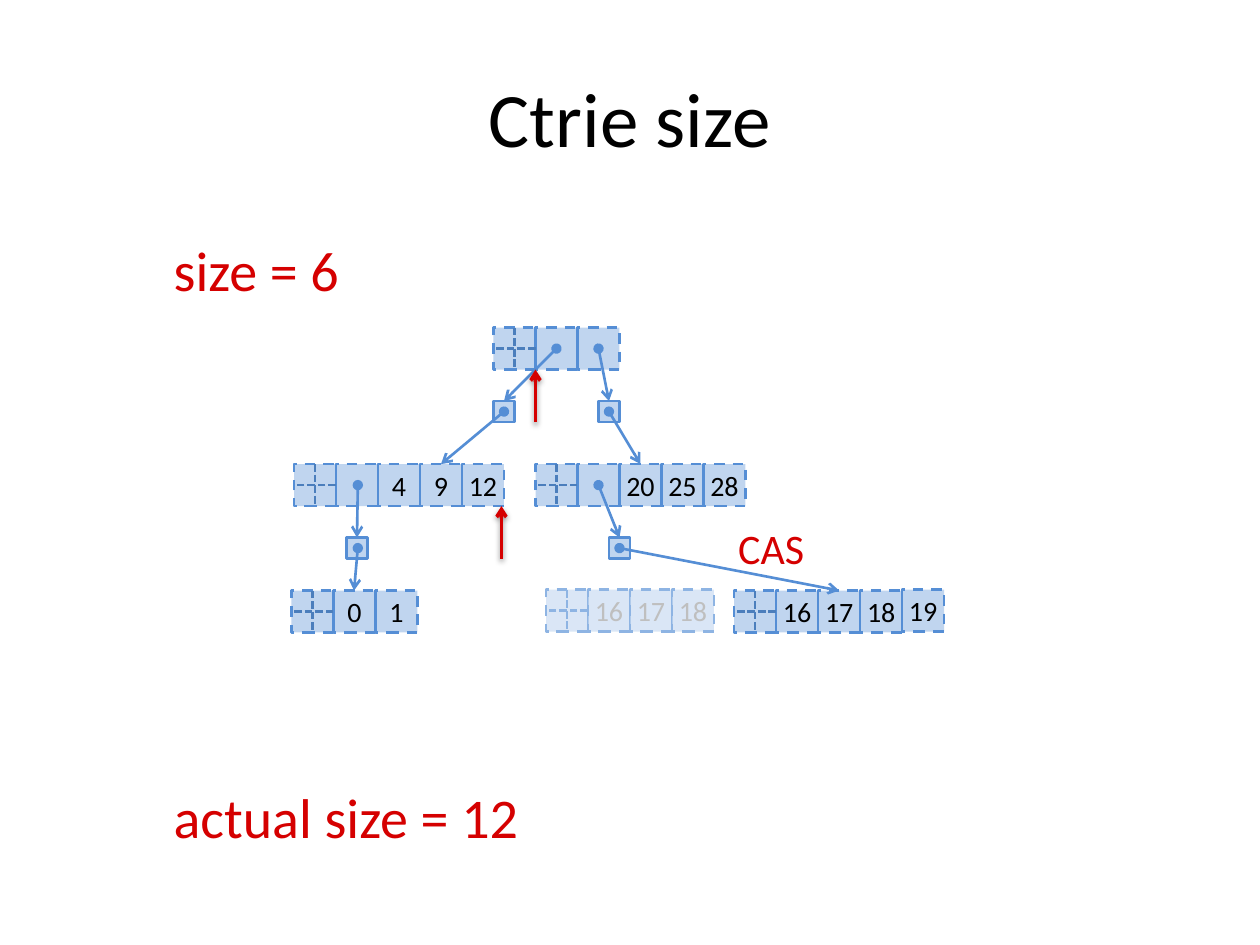
from lxml import etree
from pptx import Presentation
from pptx.dml.color import RGBColor
from pptx.enum.dml import MSO_LINE
from pptx.enum.shapes import MSO_CONNECTOR, MSO_SHAPE
from pptx.enum.text import MSO_ANCHOR, MSO_AUTO_SIZE, PP_ALIGN
from pptx.oxml.ns import qn
from pptx.util import Inches, Pt

RECTANGLE = MSO_SHAPE.RECTANGLE
STRAIGHT = MSO_CONNECTOR.STRAIGHT
DASH, SHORT_DASH = MSO_LINE.DASH, MSO_LINE.SQUARE_DOT
LEFT, CENTER = PP_ALIGN.LEFT, PP_ALIGN.CENTER
TOP, MIDDLE = MSO_ANCHOR.TOP, MSO_ANCHOR.MIDDLE
FIT_SHAPE, NO_FIT = MSO_AUTO_SIZE.SHAPE_TO_FIT_TEXT, MSO_AUTO_SIZE.NONE

COLORS = {
    "black": "000000",
    "red": "D50000",
    "blue": "558ED5",
    "bitmap": "4B7EBC",
    "pale": "C6D9F1",
    "pale_line": "8EB4E3",
    "gray": "BFBFBF",
}
LIVE = {"fill": "blue", "alpha": 37, "line": "blue", "cross": "bitmap", "text": "black"}
STALE = {"fill": "pale", "alpha": 64, "line": "pale_line", "cross": "pale_line", "text": "gray"}

COLUMNS, ROWS = 30, 22.5
INDIRECTION = 0.5

NODES = [
    (11.75, 7.8, ["", ""], LIVE),
    (7, 11.05, ["", "4", "9", "12"], LIVE),
    (12.75, 11.05, ["", "20", "25", "28"], LIVE),
    (6.94, 14.06, ["0", "1"], LIVE),
    (13, 14.04, ["16", "17", "18"], STALE),
    (17.48, 14.06, ["16", "17", "18"], LIVE),
]
INDIRECTIONS = [(11.75, 9.55), (14.25, 9.55), (8.25, 12.8), (14.5, 12.8)]
POINTERS = [
    ((13.25, 8.3), (12, 9.55)),
    ((14.25, 8.3), (14.5, 9.55)),
    ((12, 9.8), (10.5, 11.05)),
    ((14.5, 9.8), (15.25, 11.05)),
    ((8.52, 11.55), (8.5, 12.8)),
    ((14.25, 11.55), (14.75, 12.8)),
    ((8.52, 13.05), (8.43, 14.06)),
    ((14.75, 13.05), (19.98, 14.06)),
]
MARKERS = [((11.94, 13.3), (11.94, 12.05)), ((12.75, 10.05), (12.75, 8.8))]
LABELS = [
    ("size = 6", 3.84, 5.46, 4.6, 1.92, 32),
    ("actual size = 12", 3.84, 18.48, 8.9, 1.92, 32),
    ("CAS", 17.28, 12.3, 2.2, 1.5, 24),
]


def assign(target, values):
    """Set every named attribute of the target."""
    for name, value in values.items():
        setattr(target, name, value)


class TrieSlide:
    """Draw trie elements on a slide measured in grid cells."""

    def __init__(self, presentation, font="Calibri"):
        """Add a blank slide and derive the size of a cell."""
        self.slide = presentation.slides.add_slide(presentation.slide_layouts[6])
        self.column = presentation.slide_width / COLUMNS
        self.row = presentation.slide_height / ROWS
        self.font = font

    def place(self, *lengths):
        """Turn alternating column and row lengths into slide units."""
        return [round(n * (self.row if i % 2 else self.column)) for i, n in enumerate(lengths)]

    def outline(self, line, color, width=1.5, dash=None):
        """Style the line of a shape or connector."""
        line.color.rgb = RGBColor.from_string(COLORS[color])
        assign(line, {"width": Pt(width), "dash_style": dash})

    def set_text(self, shape, text, size, color, frame_format, align=LEFT):
        """Put one styled paragraph into a shape."""
        frame = shape.text_frame
        assign(frame, frame_format)
        paragraph = frame.paragraphs[0]
        assign(paragraph, {"text": text, "alignment": align})
        assign(paragraph.font, {"name": self.font, "size": Pt(size)})
        paragraph.font.color.rgb = RGBColor.from_string(COLORS[color])

    def title(self, text):
        """Add the centred slide title."""
        box = self.slide.shapes.add_textbox(*self.place(1.5, 0.9, 27, 3.75))
        frame_format = {"word_wrap": True, "auto_size": NO_FIT, "vertical_anchor": MIDDLE}
        self.set_text(box, text, 44, "black", frame_format, CENTER)

    def label(self, text, left, top, width, height, size):
        """Add a red annotation."""
        box = self.slide.shapes.add_textbox(*self.place(left, top, width, height))
        frame_format = {"word_wrap": False, "auto_size": FIT_SHAPE, "vertical_anchor": TOP}
        self.set_text(box, text, size, "red", frame_format)

    def box(self, left, top, side=1, text="", look=LIVE, dash=DASH):
        """Add a translucent square with optional text."""
        shape = self.slide.shapes.add_shape(RECTANGLE, *self.place(left, top, side, side))
        shape.shadow.inherit = False
        shape.fill.solid()
        shape.fill.fore_color.rgb = RGBColor.from_string(COLORS[look["fill"]])
        color = shape.element.spPr.find(qn("a:solidFill"))[0]
        etree.SubElement(color, qn("a:alpha"), val=str(look["alpha"] * 1000))
        self.outline(shape.line, look["line"], dash=dash)
        if text:
            frame_format = {"word_wrap": False, "vertical_anchor": MIDDLE}
            self.set_text(shape, text, 16, look["text"], frame_format, CENTER)

    def line(self, start, end, color, width=1.5, dash=None, ends=None, shadow=False):
        """Add a straight connector with optional line ends and shadow."""
        connector = self.slide.shapes.add_connector(STRAIGHT, *self.place(*start, *end))
        self.outline(connector.line, color, width, dash)
        properties = connector.element.spPr
        for tag, kind in (ends or {}).items():
            etree.SubElement(properties.find(qn("a:ln")), qn(tag), type=kind)
        effects = etree.SubElement(properties, qn("a:effectLst"))
        if shadow:
            outer = etree.SubElement(effects, qn("a:outerShdw"), blurRad=str(Pt(3.1)),
                                     dist=str(Pt(1.6)), dir="5400000", rotWithShape="0")
            black = etree.SubElement(outer, qn("a:srgbClr"), val=COLORS["black"])
            etree.SubElement(black, qn("a:alpha"), val="38000")

    def node(self, left, top, values, look):
        """Add a bitmap square followed by one square per value."""
        for index, text in enumerate(["", *values]):
            self.box(left + index, top, text=text, look=look)
        middle, center = left + 0.5, top + 0.5
        self.line((middle, top), (middle, top + 1), look["cross"], dash=SHORT_DASH)
        self.line((left + 1, center), (left, center), look["cross"], dash=SHORT_DASH)


def main():
    """Build and save the presentation."""
    presentation = Presentation()
    assign(presentation, {"slide_width": Inches(10), "slide_height": Inches(7.5)})
    trie = TrieSlide(presentation)
    trie.title("Ctrie size")
    for node in NODES:
        trie.node(*node)
    trie.box(21.48, 14.04, text="19")
    for left, top in INDIRECTIONS:
        trie.box(left, top, INDIRECTION, dash=None)
    for start, end in POINTERS:
        trie.line(start, end, "blue", ends={"a:headEnd": "oval", "a:tailEnd": "arrow"})
    for start, end in MARKERS:
        trie.line(start, end, "red", 2, ends={"a:tailEnd": "arrow"}, shadow=True)
    for label in LABELS:
        trie.label(*label)
    presentation.save("out.pptx")


if __name__ == "__main__":
    main()
